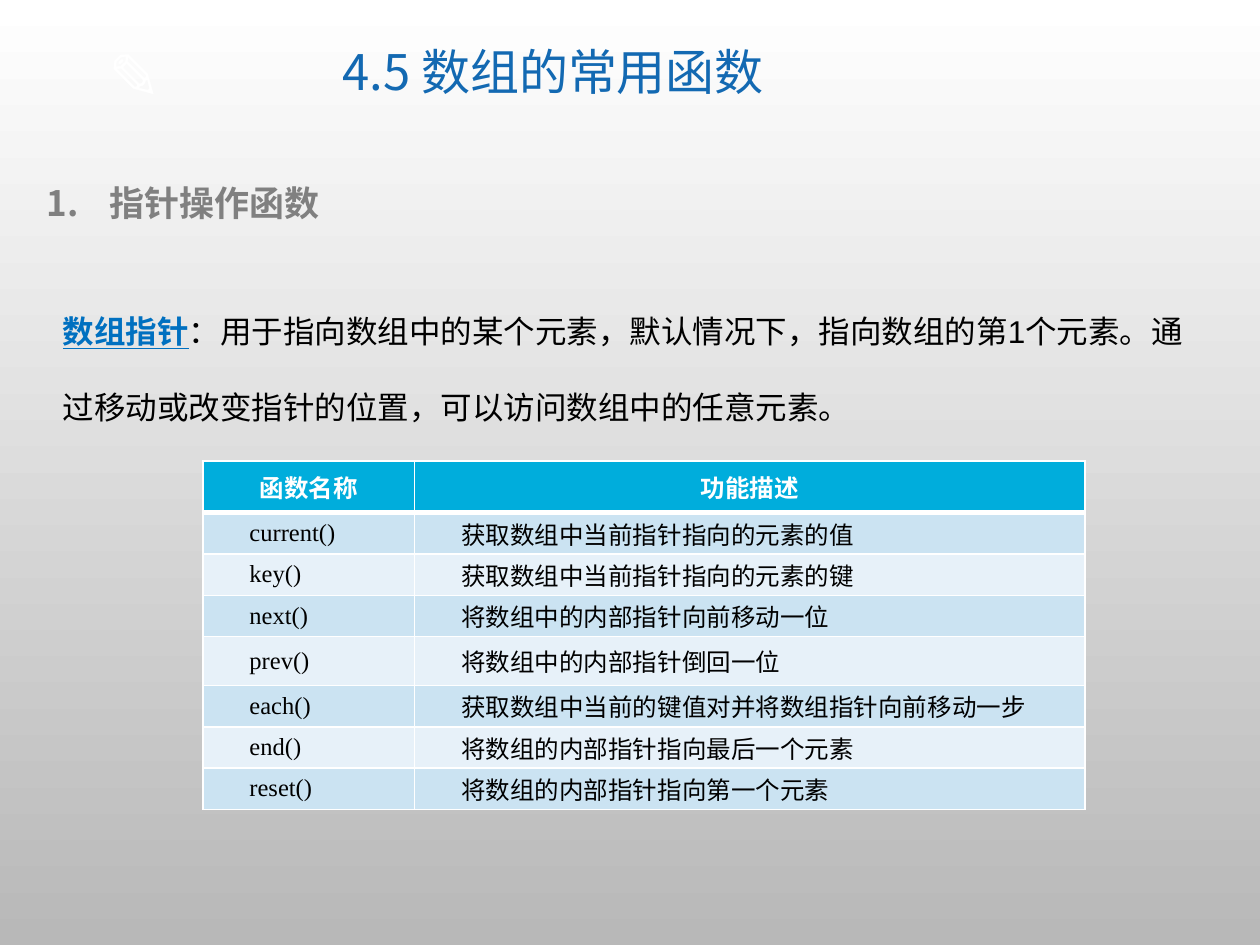
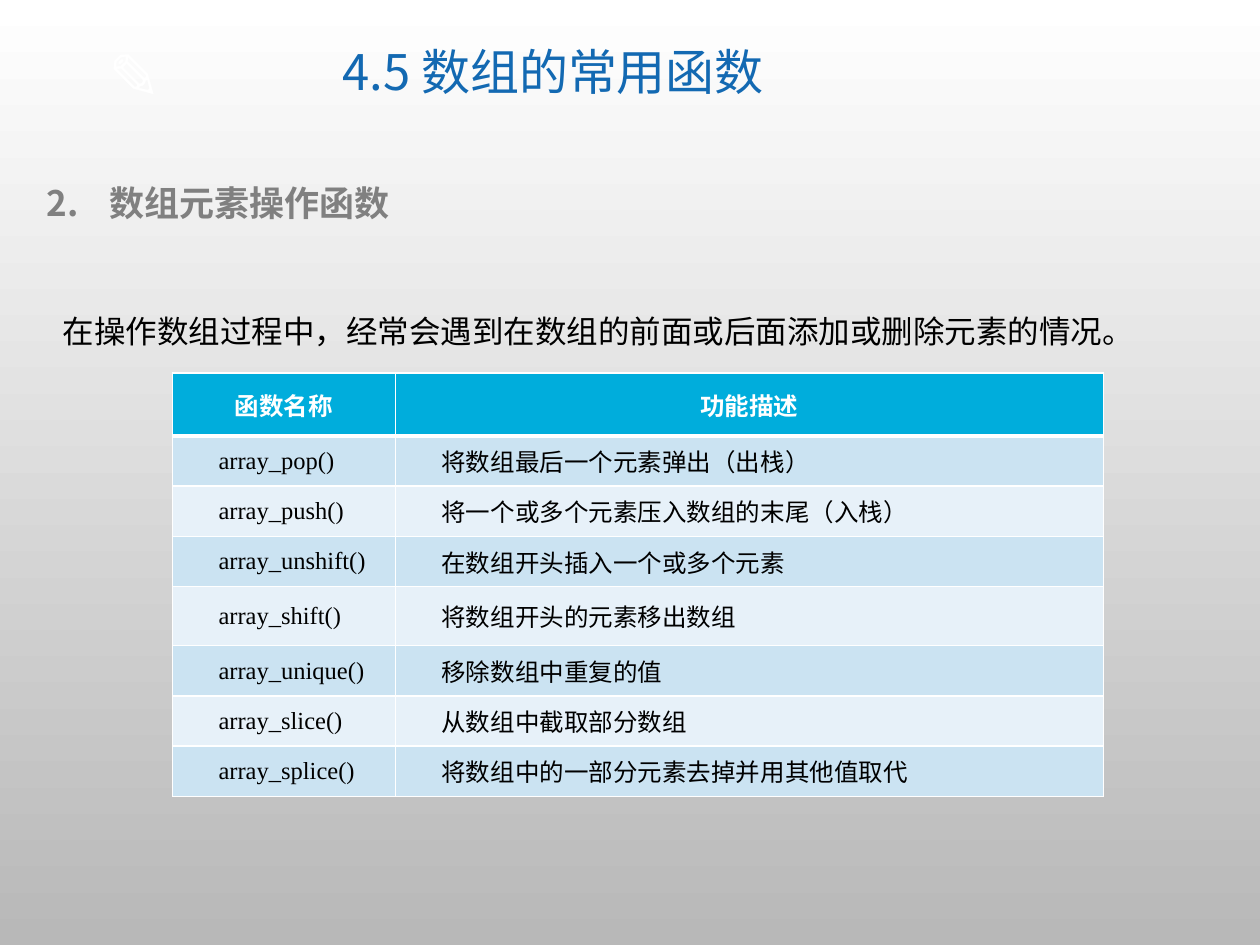
from dataclasses import dataclass

from lxml.etree import SubElement
from pptx import Presentation
from pptx.dml.color import RGBColor
from pptx.enum.text import MSO_ANCHOR, MSO_AUTO_SIZE, PP_ALIGN
from pptx.oxml.ns import qn
from pptx.util import Pt

HUES = {
    "white": "FFFFFF",
    "gray": "808080",
    "base": "B8B8B8",
    "title": "1369B2",
    "term": "0070C0",
    "text": "000000",
    "head": "00ADDC",
    "odd": "CBE3F2",
    "even": "E7F1F9",
}
CJK = "Noto Sans CJK SC"
TITLE = "4.5 数组的常用函数"
HEADS = ("函数名称", "功能描述")


@dataclass(frozen=True)
class Style:
    size: float
    hue: str
    font: str = CJK
    bold: bool = False
    under: bool = False


@dataclass(frozen=True)
class Grid:
    left: float
    top: float
    cols: tuple[float, float]
    head: float
    row: float
    tall: float
    inset: float
    rows: tuple[tuple[str, str], ...]


@dataclass(frozen=True)
class Page:
    topic: str
    intro: tuple[tuple[str, Style], ...]
    high: float
    grid: Grid


PEN = Style(36, "white", bold=True)
NAME = Style(28, "title")
TOPIC = Style(20, "gray", bold=True)
TERM = Style(18, "term", "Arial", True, True)
BODY = Style(18, "text", "Arial")
HEAD = (Style(14, "white", "Roboto", True), Style(14, "white", bold=True))
CELL = (Style(14, "text", "Times New Roman"), Style(14, "text"))

PAGES = (
    Page(
        "指针操作函数",
        (
            ("数组指针", TERM),
            ("：用于指向数组中的某个元素，默认情况下，指向数组的第1个元素。"
             "通过移动或改变指针的位置，可以访问数组中的任意元素。", BODY),
        ),
        94.3,
        Grid(115.9, 263.5, (121, 383), 29.5, 23.6, 28, 5.76, (
            ("current()", "获取数组中当前指针指向的元素的值"),
            ("key()", "获取数组中当前指针指向的元素的键"),
            ("next()", "将数组中的内部指针向前移动一位"),
            ("prev()", "将数组中的内部指针倒回一位"),
            ("each()", "获取数组中当前的键值对并将数组指针向前移动一步"),
            ("end()", "将数组的内部指针指向最后一个元素"),
            ("reset()", "将数组的内部指针指向第一个元素"),
        )),
    ),
    Page(
        "数组元素操作函数",
        (("在操作数组过程中，经常会遇到在数组的前面或后面添加或删除元素的情况。", BODY),),
        51.1,
        Grid(98.6, 213.1, (127.4, 404.6), 36, 28.7, 33.8, 5.4, (
            ("array_pop()", "将数组最后一个元素弹出（出栈）"),
            ("array_push()", "将一个或多个元素压入数组的末尾（入栈）"),
            ("array_unshift()", "在数组开头插入一个或多个元素"),
            ("array_shift()", "将数组开头的元素移出数组"),
            ("array_unique()", "移除数组中重复的值"),
            ("array_slice()", "从数组中截取部分数组"),
            ("array_splice()", "将数组中的一部分元素去掉并用其他值取代"),
        )),
    ),
)


def paint(hue: str) -> RGBColor:
    return RGBColor.from_string(HUES[hue])


def write(para, text: str, style: Style) -> None:
    run = para.add_run()
    run.text = text
    font = run.font
    font.size = Pt(style.size)
    font.bold = style.bold
    font.underline = style.under
    font.color.rgb = paint(style.hue)
    font.name = style.font
    SubElement(font._element, qn("a:ea"), typeface=CJK)


def place(shape, left: float, top: float, wide: float, high: float) -> None:
    shape.left, shape.top = Pt(left), Pt(top)
    shape.width, shape.height = Pt(wide), Pt(high)


def add_box(slide, left: float, top: float, wide: float, high: float, wrap: bool):
    box = slide.shapes.add_textbox(Pt(left), Pt(top), Pt(wide), Pt(high))
    box.text_frame.word_wrap = wrap
    return box.text_frame.paragraphs[0]


def add_title(slide) -> None:
    title = slide.shapes.title
    place(title, 130.3, 12.2, 371.5, 61.2)
    frame = title.text_frame
    frame.auto_size = MSO_AUTO_SIZE.NONE
    frame.vertical_anchor = MSO_ANCHOR.MIDDLE
    para = frame.paragraphs[0]
    para.alignment = PP_ALIGN.CENTER
    para.line_spacing = 0.9
    para.space_before = Pt(0)
    write(para, TITLE, NAME)


def add_topic(slide, text: str, start: int) -> None:
    holder = slide.placeholders[1]
    place(holder, 19.4, 100.1, 663.8, 31.7)
    holder.text_frame.auto_size = MSO_AUTO_SIZE.NONE
    para = holder.text_frame.paragraphs[0]
    para.space_before = Pt(0)
    props = para._p.get_or_add_pPr()
    props.set("marL", str(Pt(36)))
    props.set("indent", str(Pt(-36)))
    SubElement(props, qn("a:buFont"), typeface=CJK)
    SubElement(props, qn("a:buAutoNum"), type="arabicPeriod", startAt=str(start))
    write(para, text, TOPIC)


def edge(cell, side: str, width: float) -> None:
    line = SubElement(cell._tc.get_or_add_tcPr(), qn("a:ln" + side), w=str(Pt(width)))
    fill = SubElement(line, qn("a:solidFill"))
    SubElement(fill, qn("a:srgbClr"), val=HUES["white"])


def add_cell(cell, row: int, text: str, style: Style, inset: float) -> None:
    for side in "LRTB":
        thick = (row, side) in ((0, "B"), (1, "T"))
        edge(cell, side, 3 if thick else 1)
    cell.fill.solid()
    cell.fill.fore_color.rgb = paint("head" if row == 0 else "odd" if row % 2 else "even")
    cell.vertical_anchor = MSO_ANCHOR.MIDDLE
    cell.margin_left = cell.margin_right = Pt(inset)
    cell.margin_top = cell.margin_bottom = 0
    para = cell.text_frame.paragraphs[0]
    if row == 0:
        para.alignment = PP_ALIGN.CENTER
    else:
        para._p.get_or_add_pPr().set("indent", str(Pt(20.9)))
    write(para, text, style)


def add_grid(slide, grid: Grid) -> None:
    rows = (HEADS, *grid.rows)
    highs = [grid.head] + [grid.row] * len(grid.rows)
    highs[4] = grid.tall
    table = slide.shapes.add_table(
        len(rows), len(grid.cols), Pt(grid.left), Pt(grid.top),
        Pt(sum(grid.cols)), Pt(sum(highs)),
    ).table
    for col, wide in zip(table.columns, grid.cols):
        col.width = Pt(wide)
    for row, (texts, high) in enumerate(zip(rows, highs)):
        table.rows[row].height = Pt(high)
        styles = CELL if row else HEAD
        for col, (text, style) in enumerate(zip(texts, styles)):
            inset = grid.inset if row else 5.76
            add_cell(table.cell(row, col), row, text, style, inset)


def add_page(deck, page: Page, number: int) -> None:
    slide = deck.slides.add_slide(deck.slide_layouts[1])
    write(add_box(slide, 54.7, 17.3, 61.9, 51.1, False), "✎", PEN)
    add_title(slide)
    add_topic(slide, page.topic, number)
    para = add_box(slide, 28.8, 153.4, 661.7, page.high, True)
    para.line_spacing = 2.0
    for text, style in page.intro:
        write(para, text, style)
    add_grid(slide, page.grid)


def shade(master) -> None:
    fill = master.background.fill
    fill.gradient()
    fill.gradient_angle = 270
    for stop, hue in zip(fill.gradient_stops, ("white", "base")):
        stop.color.rgb = paint(hue)


def main() -> None:
    deck = Presentation()
    deck.slide_width, deck.slide_height = Pt(720), Pt(540)
    shade(deck.slide_master)
    for number, page in enumerate(PAGES, 1):
        add_page(deck, page, number)
    deck.save("out.pptx")


if __name__ == "__main__":
    main()
